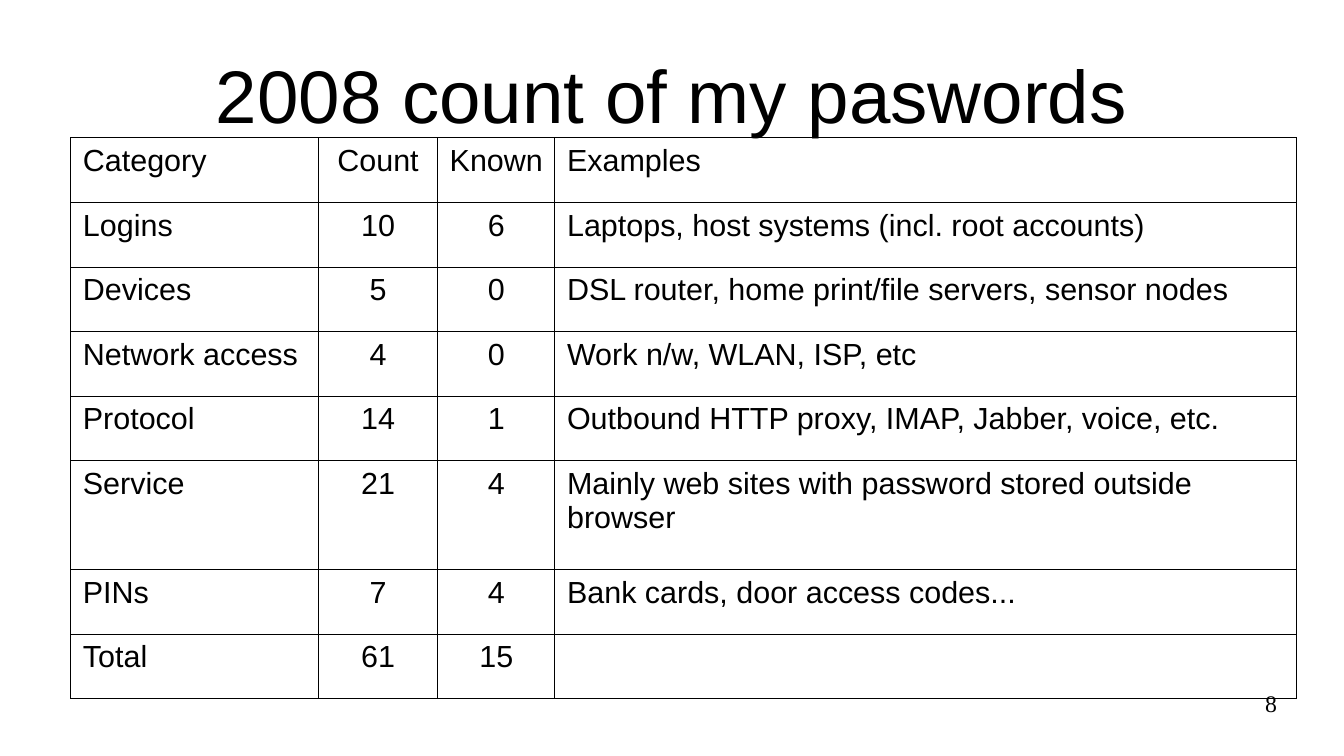
from dataclasses import dataclass

from lxml.etree import SubElement
from pptx import Presentation
from pptx.dml.color import RGBColor
from pptx.enum.text import MSO_ANCHOR as Anchor, PP_ALIGN as Align
from pptx.oxml.ns import qn
from pptx.slide import Slide
from pptx.table import _Cell as Cell
from pptx.text.text import TextFrame
from pptx.util import Inches, Pt

BLACK = RGBColor(0x00, 0x00, 0x00)
WHITE = RGBColor(0xFF, 0xFF, 0xFF)
BORDER_WIDTH = Pt(0.57)


@dataclass(frozen=True)
class TextStyle:
    size: float
    font: str = "Arial"
    align: Align = Align.LEFT


@dataclass(frozen=True)
class Label:
    text: str
    left: float
    top: float
    width: float
    height: float
    style: TextStyle
    anchor: Anchor = Anchor.TOP


@dataclass(frozen=True)
class Column:
    width: float
    style: TextStyle
    side_margin: float = 0.1


TITLE = Label("2008 count of my paswords", 0.55, 0.25, 9.92, 1.04,
              TextStyle(44, align=Align.CENTER), Anchor.MIDDLE)
PAGE_NUMBER = Label("8", 7.9, 5.65, 2.57, 0.43,
                    TextStyle(14, "Times New Roman", Align.RIGHT))

WORDS = TextStyle(18)
NUMBERS = TextStyle(18, align=Align.CENTER)
COLUMNS = [Column(2.03, WORDS), Column(0.98, NUMBERS, 0.08),
           Column(0.96, NUMBERS, 0.08), Column(6.08, WORDS)]
ROW_HEIGHT = 0.53
TALL_ROW_HEIGHT = 0.89
TALL_CATEGORY = "Service"
PASSWORD_COUNTS = [
    ("Category", "Count", "Known", "Examples"),
    ("Logins", "10", "6", "Laptops, host systems (incl. root accounts)"),
    ("Devices", "5", "0", "DSL router, home print/file servers, sensor nodes"),
    ("Network access", "4", "0", "Work n/w, WLAN, ISP, etc"),
    ("Protocol", "14", "1", "Outbound HTTP proxy, IMAP, Jabber, voice, etc."),
    ("Service", "21", "4", "Mainly web sites with password stored outside browser"),
    ("PINs", "7", "4", "Bank cards, door access codes..."),
    ("Total", "61", "15", ""),
]


def write_text(frame: TextFrame, text: str, style: TextStyle) -> None:
    paragraph = frame.paragraphs[0]
    paragraph.alignment = style.align
    if not text:
        return
    run = paragraph.add_run()
    run.text = text
    run.font.size = Pt(style.size)
    run.font.name = style.font
    run.font.color.rgb = BLACK


def add_label(slide: Slide, label: Label) -> None:
    box = slide.shapes.add_textbox(Inches(label.left), Inches(label.top),
                                   Inches(label.width), Inches(label.height))
    frame = box.text_frame
    frame.word_wrap = True
    frame.vertical_anchor = label.anchor
    frame.margin_left = frame.margin_right = 0
    frame.margin_top = frame.margin_bottom = 0
    write_text(frame, label.text, label.style)


def outline_cell(cell: Cell) -> None:
    """Draw all four borders; call before the fill, which must follow them."""
    properties = cell._tc.get_or_add_tcPr()
    for side in ("a:lnL", "a:lnR", "a:lnT", "a:lnB"):
        line = SubElement(properties, qn(side), w=str(BORDER_WIDTH))
        fill = SubElement(line, qn("a:solidFill"))
        SubElement(fill, qn("a:srgbClr"), val=str(BLACK))


def add_password_table(slide: Slide) -> None:
    heights = [TALL_ROW_HEIGHT if row[0] == TALL_CATEGORY else ROW_HEIGHT
               for row in PASSWORD_COUNTS]
    width = sum(column.width for column in COLUMNS)
    table = slide.shapes.add_table(
        len(PASSWORD_COUNTS), len(COLUMNS), Inches(0.58), Inches(1.13),
        Inches(width), Inches(sum(heights))).table
    table.first_row = table.horz_banding = False
    for index, column in enumerate(COLUMNS):
        table.columns[index].width = Inches(column.width)
    for row_index, (row, height) in enumerate(zip(PASSWORD_COUNTS, heights)):
        table.rows[row_index].height = Inches(height)
        for column_index, (text, column) in enumerate(zip(row, COLUMNS)):
            cell = table.cell(row_index, column_index)
            cell.margin_left = cell.margin_right = Inches(column.side_margin)
            outline_cell(cell)
            cell.fill.background()
            write_text(cell.text_frame, text, column.style)


def main() -> None:
    presentation = Presentation()
    presentation.slide_width = Inches(11.02)
    presentation.slide_height = Inches(6.2)
    slide = presentation.slides.add_slide(presentation.slide_layouts[6])
    slide.background.fill.solid()
    slide.background.fill.fore_color.rgb = WHITE
    add_label(slide, TITLE)
    add_password_table(slide)
    add_label(slide, PAGE_NUMBER)
    presentation.save("out.pptx")


if __name__ == "__main__":
    main()
